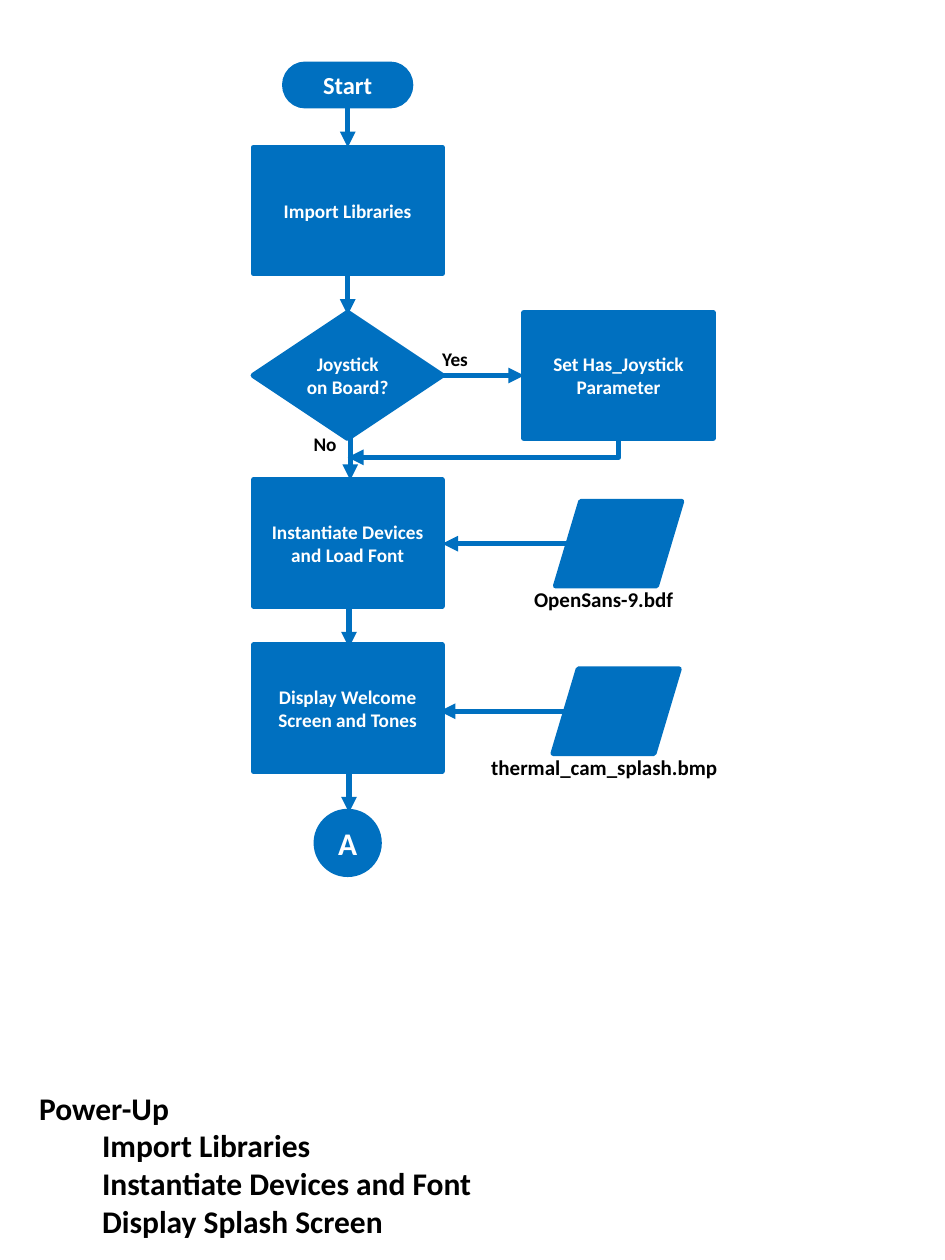
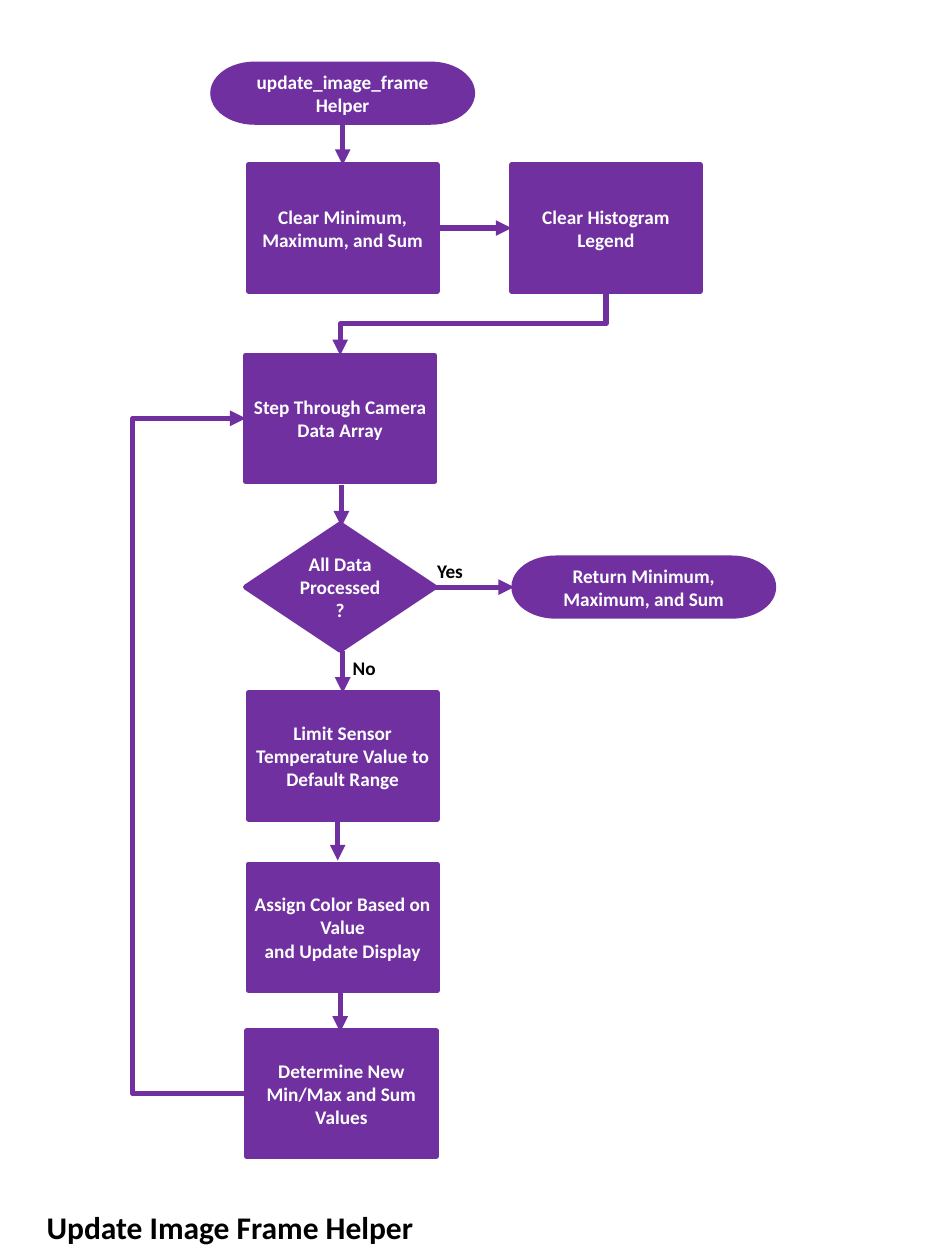
from dataclasses import dataclass

from lxml import etree
from pptx import Presentation
from pptx import util as u
from pptx.dml.color import RGBColor
from pptx.enum import shapes, text
from pptx.oxml import ns

COLUMNS, ROWS = 75, 100  # square grid cells


@dataclass(frozen=True)
class Theme:
    font: str = "Calibri"
    blue: str = "0070C0"
    purple: str = "7030A0"
    ink: str = "000000"
    paper: str = "FFFFFF"
    small: int = 11
    file_name: int = 12
    start: int = 14
    large: int = 18
    line: int = 3


THEME = Theme()
KIND = shapes.MSO_SHAPE
STEP_SIZE = (15, 10)
TERMINATOR_SIZE = (20.6, 4.6)
FILE_SIZE = (10, 6.7)
DROP = 3.3  # usual length of an arrow between two steps


class Flowchart:
    """Holds the style and the current slide; lengths are grid cells."""

    def __init__(self, presentation):
        self.presentation = presentation
        self.column = presentation.slide_width / COLUMNS
        self.row = presentation.slide_height / ROWS

    def new_slide(self, accent):
        layout = self.presentation.slide_layouts.get_by_name("Title Only")
        self.slide = self.presentation.slides.add_slide(layout)
        self.accent = RGBColor.from_string(accent)

    def across(self, columns):
        return u.Emu(round(columns * self.column))

    def down(self, rows):
        return u.Emu(round(rows * self.row))

    def box(self, left, top, width, height):
        return (self.across(left), self.down(top),
                self.across(width), self.down(height))

    def set_text(self, frame, words, size, color, align, **frame_format):
        frame.text = words
        for name, value in frame_format.items():
            setattr(frame, name, value)
        font_format = {"name": THEME.font, "size": u.Pt(size), "bold": True}
        for paragraph in frame.paragraphs:
            paragraph.alignment = align
            for run in paragraph.runs:
                for name, value in font_format.items():
                    setattr(run.font, name, value)
                run.font.color.rgb = RGBColor.from_string(color)

    def caption(self, words, left, top, width, height):
        title = self.slide.shapes.title
        place = zip(("left", "top", "width", "height"),
                    self.box(left, top, width, height))
        for name, value in place:
            setattr(title, name, value)
        self.set_text(title.text_frame, words, THEME.large, THEME.ink,
                      text.PP_ALIGN.LEFT, word_wrap=True,
                      vertical_anchor=text.MSO_ANCHOR.TOP,
                      auto_size=text.MSO_AUTO_SIZE.SHAPE_TO_FIT_TEXT)
        for paragraph in title.text_frame.paragraphs[1:]:
            paragraph.level = 1
            properties = paragraph._p.get_or_add_pPr()
            properties.set("marL", str(u.Inches(0.5)))
            properties.set("indent", "0")

    def node(self, kind, left, top, size, words="", points=THEME.small,
             inset=None):
        shape = self.slide.shapes.add_shape(kind, *self.box(left, top, *size))
        shape.shadow.inherit = False
        shape.fill.solid()
        shape.fill.fore_color.rgb = self.accent
        shape.line.color.rgb = self.accent
        shape.line.width = u.Pt(THEME.line)
        margins = {} if inset is None else {
            f"margin_{side}": u.Inches(inset)
            for side in ("left", "top", "right", "bottom")}
        if words:
            self.set_text(shape.text_frame, words, points, THEME.paper,
                          text.PP_ALIGN.CENTER, word_wrap=True,
                          vertical_anchor=text.MSO_ANCHOR.MIDDLE, **margins)

    def step(self, left, top, words, kind=KIND.FLOWCHART_PROCESS):
        self.node(kind, left, top, STEP_SIZE, words, inset=0.05)

    def decision(self, left, top, words):
        self.step(left, top, words, KIND.FLOWCHART_DECISION)

    def terminator(self, left, top, words, size=TERMINATOR_SIZE,
                   points=THEME.small):
        self.node(KIND.FLOWCHART_TERMINATOR, left, top, size, words, points)

    def label(self, words, left, top, width, height=2.9, points=THEME.small):
        shape = self.slide.shapes.add_textbox(
            *self.box(left, top, width, height))
        self.set_text(shape.text_frame, words, points, THEME.ink,
                      text.PP_ALIGN.LEFT, word_wrap=False,
                      auto_size=text.MSO_AUTO_SIZE.SHAPE_TO_FIT_TEXT)

    def arrow(self, start, end, kind=shapes.MSO_CONNECTOR.STRAIGHT):
        connector = self.slide.shapes.add_connector(
            kind, self.across(start[0]), self.down(start[1]),
            self.across(end[0]), self.down(end[1]))
        connector.line.color.rgb = self.accent
        connector.line.width = u.Pt(THEME.line)
        etree.SubElement(connector.line._get_or_add_ln(),
                         ns.qn("a:tailEnd"), type="triangle")
        etree.SubElement(connector.element.spPr, ns.qn("a:effectLst"))
        return connector

    def drop(self, x, top, length=DROP):
        self.arrow((x, top), (x, top + length))

    def elbow(self, start, end, turns, bend=None):
        """Arrow turned by quarter turns; bend is the first leg's length."""
        middle = [(a + b) / 2 for a, b in zip(start, end)]
        half = [abs(b - a) / 2 for a, b in zip(start, end)]
        if turns % 2:
            half.reverse()
        connector = self.arrow([m - h for m, h in zip(middle, half)],
                               [m + h for m, h in zip(middle, half)],
                               shapes.MSO_CONNECTOR.ELBOW)
        properties = connector.element.spPr
        properties.find(ns.qn("a:xfrm")).set("rot", str(turns * 5400000))
        geometry = properties.find(ns.qn("a:prstGeom"))
        if bend is None:
            geometry.set("prst", "bentConnector2")
            return
        share = round(bend / (2 * half[0]) * 100000)
        guides = geometry.find(ns.qn("a:avLst"))
        if guides is None:
            guides = etree.SubElement(geometry, ns.qn("a:avLst"))
        etree.SubElement(guides, ns.qn("a:gd"), name="adj1",
                         fmla=f"val {share}")


def power_up(chart):
    chart.new_slide(THEME.blue)
    chart.caption("Power-Up\nImport Libraries\nInstantiate Devices and Font\n"
                  "Display Splash Screen", 2.1, 85.9, 41, 13.1)

    # Main column
    left = 20.1
    chart.terminator(22.6, 5.1, "Start", (10, 3.3), THEME.start)
    chart.decision(left, 24.8, "Joystick on Board?")
    for top, words in ((11.7, "Import Libraries"),
                       (38.1, "Instantiate Devices and Load Font"),
                       (51.2, "Display Welcome Screen and Tones")):
        chart.step(left, top, words)
    chart.node(KIND.OVAL, 25.1, 64.4, (5, 5), "A", THEME.large)

    # Joystick branch and input files
    chart.step(41.6, 24.8, "Set Has_Joystick\nParameter")
    for file_left, file_top in ((44.1, 39.8), (43.9, 53.1)):
        chart.node(KIND.FLOWCHART_DATA, file_left, file_top, FILE_SIZE)
        middle = file_top + FILE_SIZE[1] / 2
        chart.arrow((file_left + 1, middle), (file_left - 9, middle))

    # Arrows
    for x, top in ((27.6, 8.4), (27.6, 21.7), (27.8, 34.8),
                   (27.7, 48.1), (27.7, 61.2)):
        chart.drop(x, top)
    chart.arrow((35.1, 29.8), (41.6, 29.8))
    chart.elbow((49.1, 34.8), (27.6, 36.3), turns=1)

    # Labels
    chart.label("Yes", 34.1, 27.1, 4.2)
    chart.label("No", 23.9, 33.8, 3.8)
    chart.label("OpenSans-9.bdf", 41.4, 46.1, 13.2, 3, THEME.file_name)
    chart.label("thermal_cam_splash.bmp", 38, 59.4, 20.2, 3, THEME.file_name)


def update_image_frame(chart):
    chart.new_slide(THEME.purple)
    chart.caption("Update Image Frame Helper", 2.7, 95.4, 34, 4)

    # Main column and side steps
    chart.terminator(16.9, 5.1, "update_image_frame\nHelper")
    chart.decision(19.5, 41.6, "All Data Processed?")
    for left, top, words in (
            (19.7, 13.1, "Clear Minimum, Maximum, and Sum"),
            (40.6, 13.1, "Clear Histogram Legend"),
            (19.5, 28.2, "Step Through Camera Data Array"),
            (19.7, 55, "Limit Sensor Temperature Value to Default Range"),
            (19.7, 68.6, "Assign Color Based on Value\nand Update Display"),
            (19.6, 81.8, "Determine New Min/Max and Sum Values")):
        chart.step(left, top, words)
    chart.terminator(40.8, 44.3, "Return Minimum, Maximum, and Sum")

    # Arrows
    for x, top in ((27.2, 9.8), (27.1, 38.5), (27.2, 51.7),
                   (26.8, 65), (27, 78.6)):
        chart.drop(x, top)
    chart.arrow((34.7, 18.1), (40.6, 18.1))
    chart.arrow((34.4, 46.6), (40.8, 46.6))
    chart.elbow((48.1, 23.2), (27, 28.2), turns=1, bend=2.5)
    chart.elbow((19.6, 86.8), (19.5, 33.2), turns=2, bend=9.2)

    # Labels
    chart.label("No", 27, 51.6, 3.9)
    chart.label("Yes", 33.7, 43.9, 4.2)


def main():
    presentation = Presentation()
    presentation.slide_width = u.Inches(7.5)
    presentation.slide_height = u.Inches(10)
    chart = Flowchart(presentation)
    power_up(chart)
    update_image_frame(chart)
    presentation.save("out.pptx")


if __name__ == "__main__":
    main()
